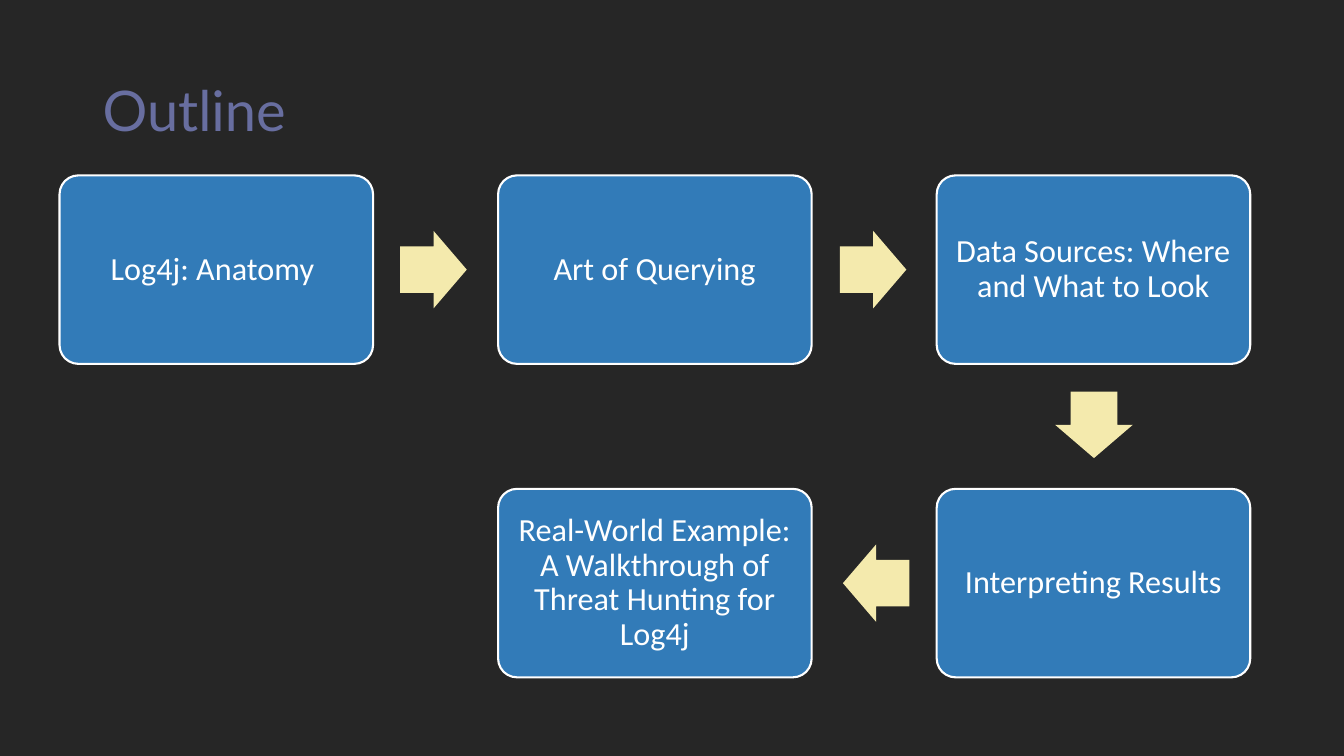
from pptx import Presentation
from pptx.dml.color import RGBColor
from pptx.enum import shapes, text
from pptx.util import Inches, Pt

COLORS = {"back": "262626", "title": "686EA0", "box": "327BB8",
          "arrow": "F4EAAD", "white": "FFFFFF"}

# Grid of steps
LEFT, TOP = 0.59, 1.74
WIDE, HIGH = 3.11, 1.87
STEP_X, STEP_Y = 4.35, 3.11

STEPS = [
    (0, 0, "Log4j: Anatomy "),
    (1, 0, "Art of Querying"),
    (2, 0, "Data Sources: Where and What to Look"),
    (2, 1, "Interpreting Results"),
    (1, 1, "Real-World Example: A Walkthrough of Threat Hunting for Log4j"),
]

# Left, top and turn of each arrow
ARROWS = [(3.97, 2.29, 0), (8.33, 2.29, 0), (10.52, 3.83, 90), (8.36, 5.4, 180)]


class Deck:
    def __init__(self):
        self.show = Presentation()
        self.show.slide_width = Inches(13.33)
        self.show.slide_height = Inches(7.5)
        self.slide = self.show.slides.add_slide(self.show.slide_layouts[6])
        fill = self.slide.background.fill
        fill.solid()
        fill.fore_color.rgb = self.color("back")

    def color(self, name):
        return RGBColor.from_string(COLORS[name])

    def label(self, item, words, font, size, color, align, inset):
        frame = item.text_frame
        frame.text = words
        frame.word_wrap = True
        frame.vertical_anchor = text.MSO_ANCHOR.MIDDLE
        frame.margin_left = frame.margin_right = Inches(inset[0])
        frame.margin_top = frame.margin_bottom = Inches(inset[1])
        para = frame.paragraphs[0]
        para.alignment = align
        para.line_spacing = 0.9
        run = para.runs[0]
        run.font.name = font
        run.font.size = Pt(size)
        run.font.color.rgb = self.color(color)

    def title(self, words):
        box = self.slide.shapes.add_textbox(
            Inches(0.92), Inches(0.4), Inches(11.5), Inches(1.45))
        self.label(box, words, "Lato", 40, "title",
                   text.PP_ALIGN.LEFT, (0.1, 0.05))

    def shape(self, kind, left, top, wide, high, fill):
        item = self.slide.shapes.add_shape(
            kind, Inches(left), Inches(top), Inches(wide), Inches(high))
        item.shadow.inherit = False
        item.fill.solid()
        item.fill.fore_color.rgb = self.color(fill)
        return item

    def step(self, col, row, words):
        box = self.shape(shapes.MSO_SHAPE.ROUNDED_RECTANGLE,
                         LEFT + col * STEP_X, TOP + row * STEP_Y,
                         WIDE, HIGH, "box")
        box.adjustments[0] = 0.1
        box.line.color.rgb = self.color("white")
        box.line.width = Pt(1.5)
        self.label(box, words, "Calibri", 23, "white",
                   text.PP_ALIGN.CENTER, (0.12, 0.12))

    def arrow(self, left, top, turn):
        item = self.shape(shapes.MSO_SHAPE.RIGHT_ARROW,
                          left, top, 0.66, 0.77, "arrow")
        item.adjustments[0] = 0.6
        item.adjustments[1] = 0.5
        item.line.fill.background()
        item.rotation = turn


def main():
    deck = Deck()
    # Heading
    deck.title("Outline")
    # Flow of steps
    for step in STEPS:
        deck.step(*step)
    for arrow in ARROWS:
        deck.arrow(*arrow)
    deck.show.save("out.pptx")


if __name__ == "__main__":
    main()
